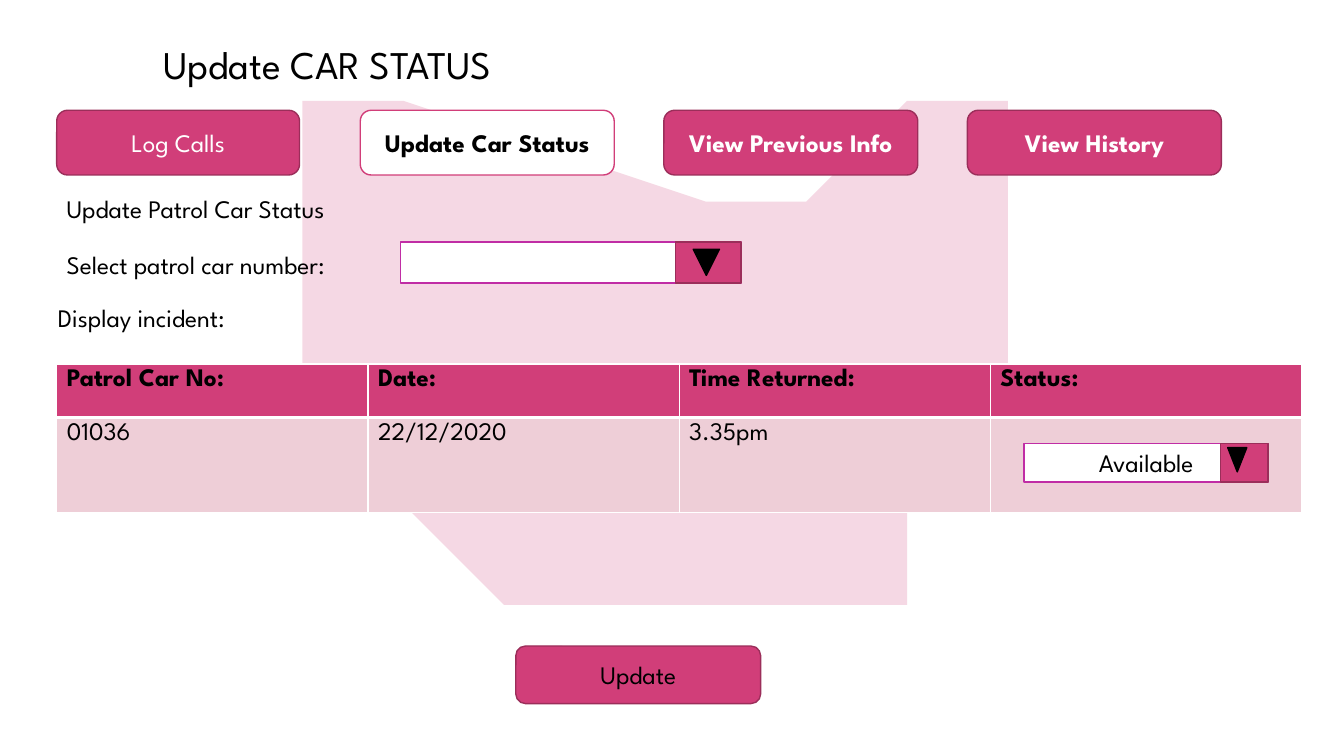
from lxml.etree import SubElement
from pptx import Presentation
from pptx.dml.color import RGBColor
from pptx.enum.shapes import MSO_SHAPE
from pptx.enum.text import MSO_ANCHOR, MSO_AUTO_SIZE, PP_ALIGN
from pptx.oxml.ns import qn
from pptx.util import Cm, Pt

FONT = "League Spartan"
COLORS = {
    "pink": "D13E79",
    "dark_pink": "9B2E5A",
    "purple": "C02DA5",
    "pale": "EECED7",
    "white": "FFFFFF",
    "black": "000000",
}
INCH = 2.54
RIGHT_BRISTLES = [
    (6.65, 1.72), (7.69, 1.67), (8.63, 1.4), (9.18, 1.02), (9.69, 0.61), (9.64, 0.73),
    (9.89, 0.58), (9.8, 0.82), (9.34, 1.35), (9.85, 1), (9.74, 1.28), (8.88, 2),
    (10.2, 1.16), (10.1, 1.41), (9.64, 1.93), (10.16, 1.58), (9.89, 1.9), (10.08, 1.78),
    (9.49, 2.46), (9.82, 2.43), (10.24, 2.29), (10.32, 2.62), (9.76, 3.03), (10.14, 2.96),
    (10.19, 3.08), (9.94, 3.3), (9.98, 3.63), (9.59, 5), (9.27, 5.28), (9.82, 5.2),
    (9.42, 5.42), (9.2, 5.65), (8.72, 5.84),
]
BOTTOM_CURVE = [(7.04, 6.16), (5.15, 6.31), (3.8, 5.14), (3.79, 5.12)]
LEFT_BRISTLES = [
    (2.85, 3.7), (2.98, 3.43), (3.08, 3.3), (3.29, 3.11), (3.08, 2.82), (3.21, 2.61),
    (3.37, 2.53), (3.19, 2.35), (3.29, 2.2), (3.12, 1.95), (3.34, 1.4), (3.37, 1.24),
    (3.58, 1.22), (3.55, 1.09), (3.88, 1.31),
]


def rgb(name):
    return RGBColor.from_string(COLORS[name])


def write(frame, text, size=18, color="black", bold=False, align=PP_ALIGN.LEFT, anchor=MSO_ANCHOR.TOP):
    frame.word_wrap = True
    frame.vertical_anchor = anchor
    para = frame.paragraphs[0]
    para.alignment = align
    span = para.add_run()
    span.text = text
    span.font.name = FONT
    span.font.size = Pt(size)
    span.font.bold = bold
    span.font.color.rgb = rgb(color)


def add_box(page, kind, left, top, width, height, fill="pink", line="dark_pink", text="", **style):
    box = page.shapes.add_shape(kind, Cm(left), Cm(top), Cm(width), Cm(height))
    box.shadow.inherit = False
    box.fill.solid()
    box.fill.fore_color.rgb = rgb(fill)
    box.line.color.rgb = rgb(line)
    box.line.width = Pt(1)
    if text:
        write(box.text_frame, text, align=PP_ALIGN.CENTER, anchor=MSO_ANCHOR.MIDDLE, **style)
    return box


def curve_points(controls, steps=16):
    points = []
    for step in range(steps + 1):
        t = step / steps
        weights = ((1 - t) ** 3, 3 * t * (1 - t) ** 2, 3 * t ** 2 * (1 - t), t ** 3)
        points.append(tuple(sum(w * value for w, value in zip(weights, axis))
                            for axis in zip(*controls)))
    return points


def add_brush(page):
    edge = RIGHT_BRISTLES + curve_points(BOTTOM_CURVE) + LEFT_BRISTLES
    builder = page.shapes.build_freeform(*edge[0], scale=Cm(INCH))
    builder.add_line_segments(edge[1:])
    brush = builder.convert_to_shape()
    brush.shadow.inherit = False
    brush.line.fill.background()
    brush.fill.solid()
    brush.fill.fore_color.rgb = rgb("pink")
    color = brush._element.spPr.find(qn("a:solidFill"))[0]
    SubElement(color, qn("a:alpha"), val="20000")


def add_title(page, text):
    title = page.shapes.title
    title.left, title.top, title.width, title.height = Cm(1.12), Cm(0.89), Cm(14.27), Cm(1.45)
    title.text_frame.auto_size = MSO_AUTO_SIZE.NONE
    write(title.text_frame, text, size=28, align=PP_ALIGN.CENTER)


def add_label(page, text, left, top):
    label = page.shapes.add_textbox(Cm(left), Cm(top), Cm(9.25), Cm(1.02))
    write(label.text_frame, text)


def add_dropdown(page, left, top, width, height, button, arrow, text=""):
    add_box(page, MSO_SHAPE.RECTANGLE, left, top, width, height, "white", "purple", text)
    button_left = left + width - button
    add_box(page, MSO_SHAPE.RECTANGLE, button_left, top, button, height)
    inset, drop, arrow_width, arrow_height = arrow
    triangle = add_box(page, MSO_SHAPE.ISOSCELES_TRIANGLE, button_left + inset, top + drop,
                       arrow_width, arrow_height, "black", "black")
    triangle.rotation = 180


def set_borders(cell, **widths):
    properties = cell._tc.get_or_add_tcPr()
    for index, side in enumerate(("lnL", "lnR", "lnT", "lnB")):
        line = properties.makeelement(qn(f"a:{side}"), {"w": str(Pt(widths.get(side, 1)))})
        SubElement(SubElement(line, qn("a:solidFill")), qn("a:srgbClr"), val=COLORS["white"])
        properties.insert(index, line)


def add_incidents(page, rows, heights):
    table = page.shapes.add_table(len(rows), len(rows[0]), Cm(1.43), Cm(9.17),
                                  Cm(31.37), Cm(sum(heights))).table
    for index, (values, height) in enumerate(zip(rows, heights)):
        header = index == 0
        table.rows[index].height = Cm(height)
        for column, text in enumerate(values):
            cell = table.cell(index, column)
            cell.fill.solid()
            cell.fill.fore_color.rgb = rgb("pink" if header else "pale")
            set_borders(cell, **{"lnB" if header else "lnT": 3})
            if text:
                write(cell.text_frame, text, bold=header)


def main():
    deck = Presentation()
    deck.slide_width, deck.slide_height = Cm(33.87), Cm(19.05)
    page = deck.slides.add_slide(deck.slide_layouts[5])
    add_brush(page)
    add_title(page, "Update CAR STATUS")
    add_box(page, MSO_SHAPE.ROUNDED_RECTANGLE, 13, 16.28, 6.17, 1.45, text="Update")

    tabs = [
        ("Log Calls", 6.12, {"color": "white"}),
        ("Update Car Status", 6.4, {"fill": "white", "line": "pink", "bold": True}),
        ("View Previous Info", 6.4, {"color": "white", "bold": True}),
        ("View History", 6.4, {"color": "white", "bold": True}),
    ]
    for index, (text, width, style) in enumerate(tabs):
        add_box(page, MSO_SHAPE.ROUNDED_RECTANGLE, 1.43 + 7.65 * index, 2.78, width, 1.63,
                text=text, **style)

    add_label(page, "Update Patrol Car Status", 1.43, 4.75)
    add_label(page, "Select patrol car number:", 1.43, 6.17)
    add_label(page, "Display incident:", 1.21, 7.5)
    add_dropdown(page, 10.1, 6.1, 8.58, 1.03, 1.66, (0.45, 0.18, 0.66, 0.66))
    add_incidents(page, [
        ("Patrol Car No:", "Date:", "Time Returned:", "Status:"),
        ("01036", "22/12/2020", "3.35pm", ""),
    ], (1.35, 2.4))
    add_dropdown(page, 25.81, 11.18, 6.15, 0.97, 1.2, (0.18, 0.1, 0.48, 0.61), "Available")
    deck.save("out.pptx")


main()
